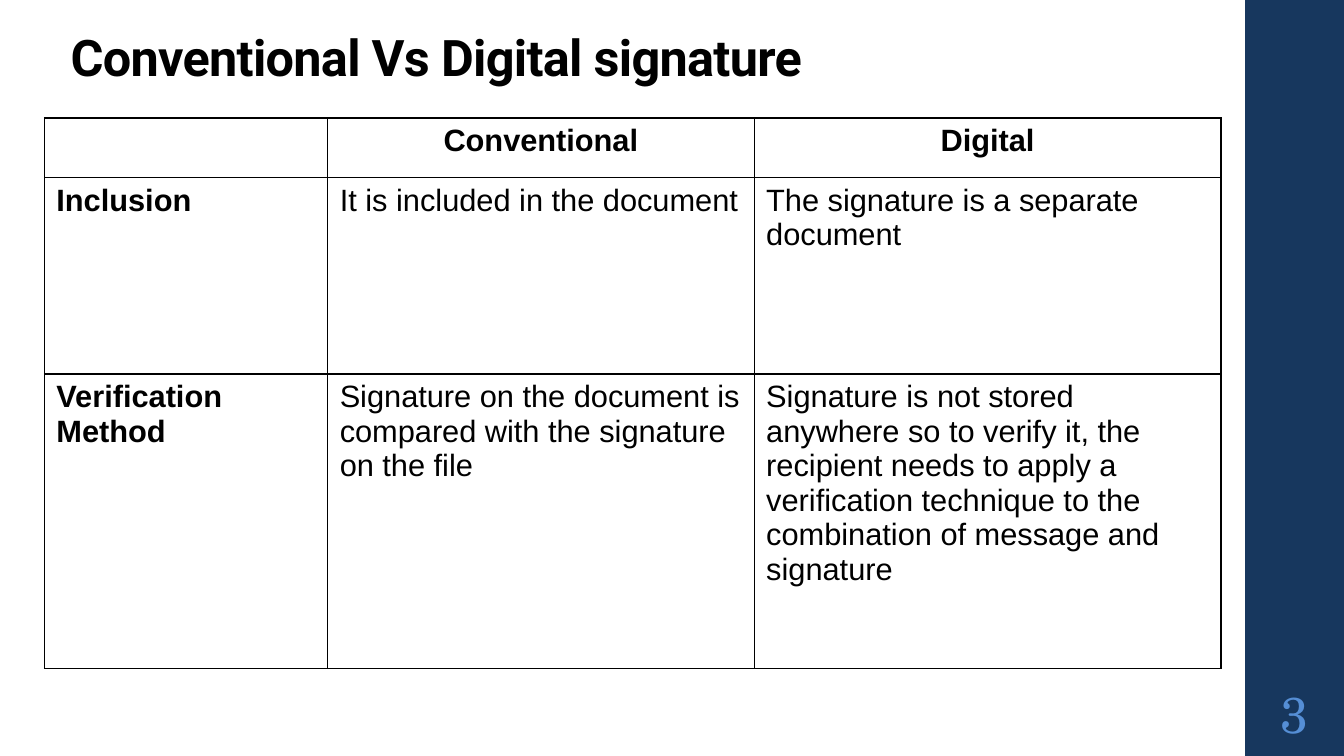
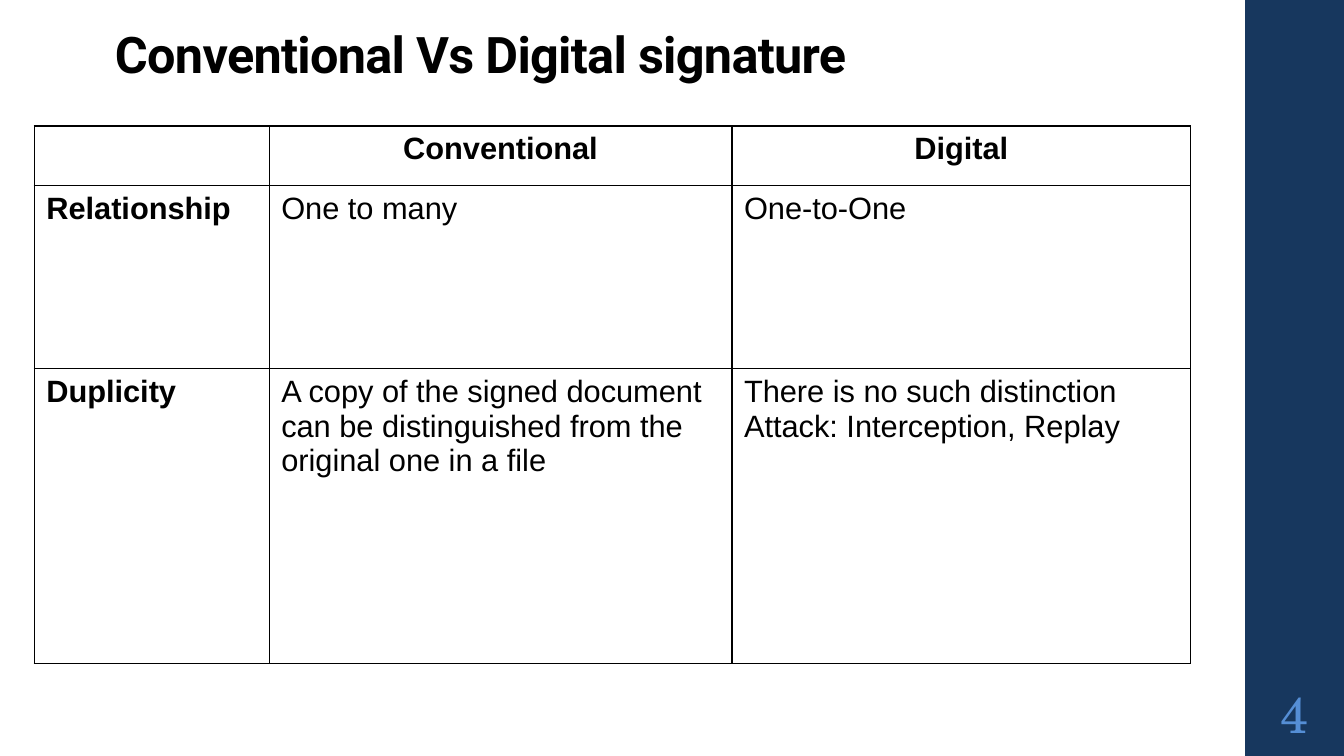
import pptx
import pptx.dml.color
import pptx.enum.shapes
import pptx.enum.text
import pptx.oxml
import pptx.oxml.ns
import pptx.util

PX = 9144
WIDE, HIGH = 1333, 750
BAND = (1235, 0, WIDE - 1235, HIGH)
NAVY, BLUE, BLACK = "17375E", "558ED5", "000000"
ANCHOR = pptx.enum.text.MSO_ANCHOR
ALIGN = pptx.enum.text.PP_ALIGN
FIT = pptx.enum.text.MSO_AUTO_SIZE
HEAD = {"name": "Roboto", "size": pptx.util.Pt(36), "bold": True}
PAGE = {"name": "TeX Gyre Schola", "size": pptx.util.Pt(36)}
BODY = {"name": "Arial", "size": pptx.util.Pt(22)}
TOPIC = "Conventional Vs Digital signature"
HEADS = ["", "Conventional", "Digital"]

SLIDES = [
    {
        "page": "3",
        "title": (60, 27, 1060, 65),
        "grid": (44, 117),
        "cols": [281, 423, 463],
        "rows": [59, 195, 292],
        "cells": [
            HEADS,
            ["Inclusion", "It is included in the document",
             "The signature is a separate document"],
            ["Verification\nMethod",
             "Signature on the document is compared with the signature on the file",
             "Signature is not stored anywhere so to verify it, the recipient needs "
             "to apply a verification technique to the combination of message and "
             "signature"],
        ],
    },
    {
        "page": "4",
        "title": (104, 24, 1092, 65),
        "grid": (34, 125),
        "cols": [233, 459, 455],
        "rows": [59, 182, 292],
        "cells": [
            HEADS,
            ["Relationship", "One to many", "One-to-One"],
            ["Duplicity",
             "A copy of the signed document can be distinguished from the original "
             "one in a file",
             "There is no such distinction\nAttack: Interception, Replay"],
        ],
    },
]


def color(text):
    """Turn a hex string into a colour."""
    return pptx.dml.color.RGBColor.from_string(text)


def scale(*sizes):
    """Turn px into EMU."""
    return [size * PX for size in sizes]


def style(item, values):
    """Set each attribute of an item from a dict."""
    for key, value in values.items():
        setattr(item, key, value)


def write(frame, text, font, tint, align):
    """Fill a text frame, one paragraph to a line of text."""
    frame.text = text
    for para in frame.paragraphs:
        para.alignment = align
        for run in para.runs:
            style(run.font, font)
            run.font.color.rgb = color(tint)


def head(slide, box):
    """Place and format the title."""
    shape = slide.shapes.title
    style(shape, dict(zip(("left", "top", "width", "height"), scale(*box))))
    frame = shape.text_frame
    write(frame, TOPIC, HEAD, BLACK, ALIGN.LEFT)
    style(frame, {"vertical_anchor": ANCHOR.BOTTOM, "word_wrap": True,
                  "auto_size": FIT.SHAPE_TO_FIT_TEXT})
    para = frame.paragraphs[0]
    para.line_spacing = 0.9
    para.runs[0].font._element.set("spc", "-50")


def band(slide, box, page):
    """Draw the side band with the page number near its foot."""
    left, top, width, height = box
    shape = slide.shapes.add_shape(
        pptx.enum.shapes.MSO_SHAPE.RECTANGLE, *scale(*box))
    shape.shadow.inherit = False
    shape.fill.solid()
    shape.fill.fore_color.rgb = color(NAVY)
    shape.line.fill.background()
    label = slide.shapes.add_textbox(
        *scale(left, top + height - 75, width, 65))
    frame = label.text_frame
    style(frame, {"word_wrap": True, "vertical_anchor": ANCHOR.MIDDLE})
    style(frame, {"margin_" + side: 5 * PX
                  for side in ("left", "top", "right", "bottom")})
    write(frame, page, PAGE, BLUE, ALIGN.CENTER)


def border(cell):
    """Rule all four sides of a cell."""
    props = cell._tc.get_or_add_tcPr()
    space = pptx.oxml.ns.nsdecls("a")
    for side in "LRTB":
        props.append(pptx.oxml.parse_xml(
            f'<a:ln{side} {space} w="12700"><a:solidFill>'
            f'<a:srgbClr val="{BLACK}"/></a:solidFill></a:ln{side}>'))


def grid(slide, spot, cols, rows, cells):
    """Draw the table with bold heads in its first row and column."""
    box = scale(*spot, sum(cols), sum(rows))
    table = slide.shapes.add_table(len(rows), len(cols), *box).table
    style(table, {"first_row": False, "horz_banding": False})
    for col, width in zip(table.columns, cols):
        col.width = width * PX
    for row, height in zip(table.rows, rows):
        row.height = height * PX
    for down, line in enumerate(cells):
        for over, text in enumerate(line):
            cell = table.cell(down, over)
            style(cell, {"margin_left": 12 * PX, "margin_right": 12 * PX,
                         "margin_top": 6 * PX, "margin_bottom": 6 * PX})
            border(cell)
            cell.fill.background()
            font = {**BODY, "bold": down == 0 or over == 0}
            align = ALIGN.LEFT if down else ALIGN.CENTER
            write(cell.text_frame, text, font, BLACK, align)


def main():
    """Build and save the slides."""
    deck = pptx.Presentation()
    style(deck, {"slide_width": WIDE * PX, "slide_height": HIGH * PX})
    for data in SLIDES:
        slide = deck.slides.add_slide(deck.slide_layouts[5])
        band(slide, BAND, data["page"])
        head(slide, data["title"])
        grid(slide, data["grid"], data["cols"], data["rows"], data["cells"])
    deck.save("out.pptx")


if __name__ == "__main__":
    main()
